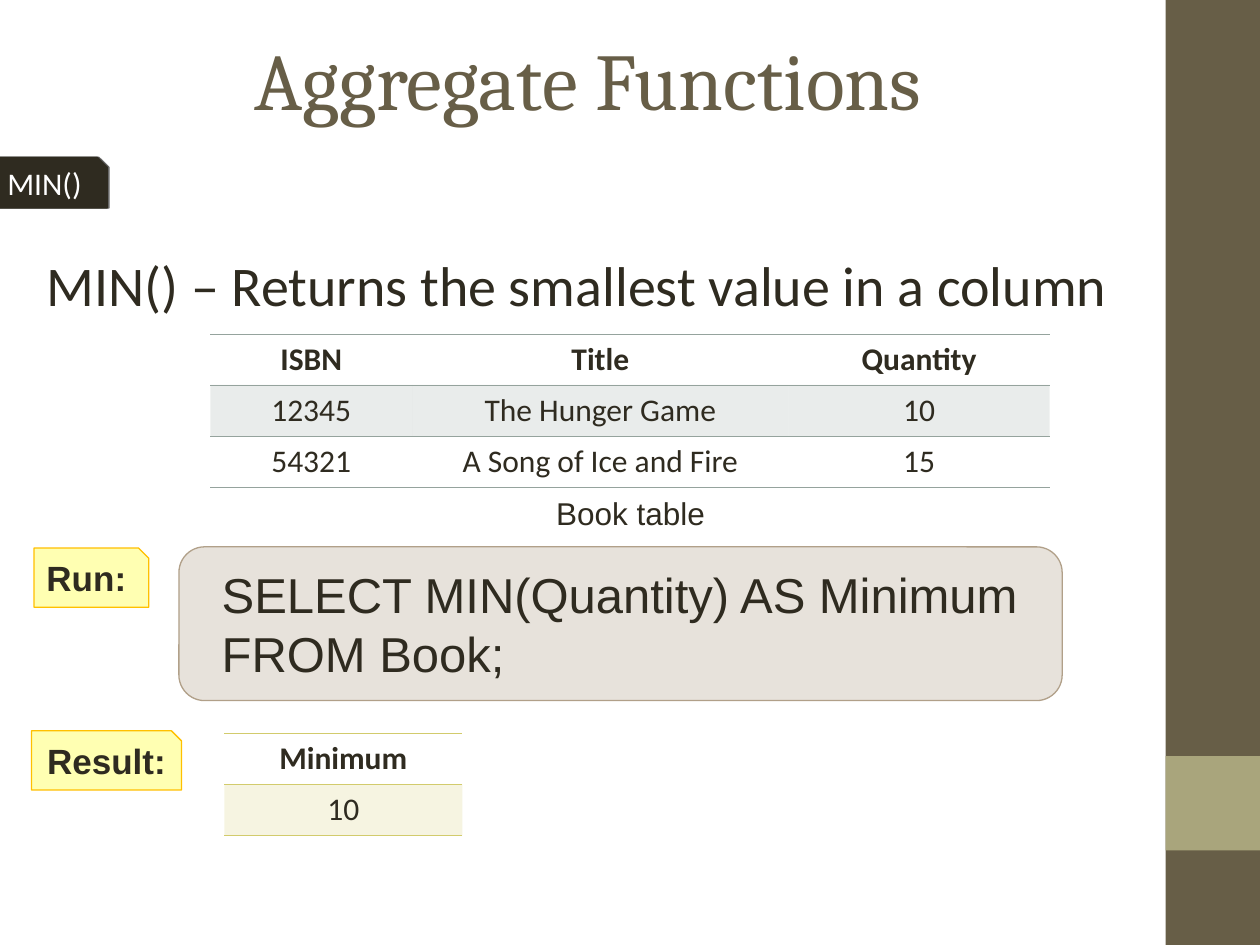
from dataclasses import dataclass

from lxml import etree
from pptx import Presentation
from pptx import util as u
from pptx.dml.color import RGBColor
from pptx.enum import shapes, text
from pptx.oxml import ns


@dataclass(frozen=True)
class Theme:
    # Colours
    ink: str = "2F2B20"
    white: str = "FFFFFF"
    brown: str = "675E47"
    olive: str = "A9A57C"
    sand: str = "B1A089"
    yellow: str = "FFFF00"
    gold: str = "FFC000"
    book: str = "95A39D"
    result: str = "D2CB6C"
    # Fonts and type sizes
    heading: str = "Cambria"
    body: str = "Calibri"
    plain: str = "Arial"
    title_size: int = 46
    lead_size: int = 32
    code_size: int = 28
    label_size: int = 20
    small_size: int = 18


THEME = Theme()
LEFT, CENTER = text.PP_ALIGN.LEFT, text.PP_ALIGN.CENTER
PLAIN_TABLE = "{2D5ABB26-0587-4C30-8999-92F81FD0307C}"  # no style, no grid


def add_xml(parent, tag, **attributes):
    return etree.SubElement(parent, ns.qn(tag), attributes)


def set_fill(fill, color, opacity=100):
    fill.solid()
    fill.fore_color.rgb = RGBColor.from_string(color)
    if opacity < 100:
        color_node = fill._xPr.find(ns.qn("a:solidFill")).find(ns.qn("a:srgbClr"))
        add_xml(color_node, "a:alpha", val=str(opacity * 1000))


def style_shape(shape, fill, opacity=100, line=None, weight=0.75):
    shape.shadow.inherit = False
    set_fill(shape.fill, fill, opacity)
    if line:
        shape.line.color.rgb = RGBColor.from_string(line)
        shape.line.width = u.Pt(weight)
    else:
        shape.line.fill.background()


def write(frame, words, font, size, color=THEME.ink, bold=False, align=LEFT):
    paragraph = frame.paragraphs[0]
    paragraph.text = words
    paragraph.alignment = align
    paragraph.font.name = font
    paragraph.font.size = u.Pt(size)
    paragraph.font.bold = bold
    paragraph.font.color.rgb = RGBColor.from_string(color)


def add_block(slide, kind, left, top, width, height, **style):
    shape = slide.shapes.add_shape(
        kind, u.Inches(left), u.Inches(top), u.Inches(width), u.Inches(height))
    style_shape(shape, **style)
    return shape


def add_text(slide, left, top, width, height, words, font, size,
             anchor=text.MSO_ANCHOR.TOP, **style):
    box = slide.shapes.add_textbox(
        u.Inches(left), u.Inches(top), u.Inches(width), u.Inches(height))
    box.text_frame.word_wrap = True
    box.text_frame.vertical_anchor = anchor
    write(box.text_frame, words, font, size, **style)


def add_tag(slide, left, top, width, height, **style):
    """Rectangle with its top right corner cut off."""
    cut = 0.08
    right, bottom = left + width, top + height
    builder = slide.shapes.build_freeform(
        u.Inches(left), u.Inches(top), scale=1.0)
    corners = [(right - cut, top), (right, top + cut), (right, bottom), (left, bottom)]
    builder.add_line_segments([(u.Inches(x), u.Inches(y)) for x, y in corners])
    shape = builder.convert_to_shape()
    style_shape(shape, **style)
    shape.text_frame.word_wrap = True
    shape.text_frame.vertical_anchor = text.MSO_ANCHOR.MIDDLE
    return shape


def add_edge_shadow(shape):
    effects = shape._element.spPr.find(ns.qn("a:effectLst"))
    shadow = add_xml(effects, "a:outerShdw", blurRad="0", dist=str(u.Pt(1)), dir="0")
    color = add_xml(shadow, "a:srgbClr", val="000000")
    add_xml(color, "a:alpha", val="60000")


def add_border(cell, side, color):
    line = add_xml(cell._tc.get_or_add_tcPr(), side, w=str(u.Pt(0.45)))
    add_xml(add_xml(line, "a:solidFill"), "a:srgbClr", val=color)


def add_ruled_table(slide, left, top, widths, rows, color):
    """Bold header row, rules around it and below the table, shaded odd rows."""
    row_height = 0.405
    table = slide.shapes.add_table(
        len(rows), len(widths), u.Inches(left), u.Inches(top),
        u.Inches(sum(widths)), u.Inches(row_height * len(rows))).table
    table.first_row = table.horz_banding = False
    table._tbl.tblPr.find(ns.qn("a:tableStyleId")).text = PLAIN_TABLE
    for column, width in zip(table.columns, widths):
        column.width = u.Inches(width)
    for index, values in enumerate(rows):
        table.rows[index].height = u.Inches(row_height)
        for number, value in enumerate(values):
            cell = table.cell(index, number)
            write(cell.text_frame, value, THEME.body, THEME.small_size,
                  bold=index == 0, align=CENTER)
            if index <= 1:
                add_border(cell, "a:lnT", color)
            if index in (0, len(rows) - 1):
                add_border(cell, "a:lnB", color)
            if index % 2:
                set_fill(cell.fill, color, 20)
            else:
                cell.fill.background()


def main():
    presentation = Presentation()
    presentation.slide_width = u.Inches(10)
    presentation.slide_height = u.Inches(7.5)
    slide = presentation.slides.add_slide(presentation.slide_layouts[6])

    # Side band
    rectangle = shapes.MSO_SHAPE.RECTANGLE
    add_block(slide, rectangle, 9.25, 0, 0.75, 7.5, fill=THEME.brown)
    add_block(slide, rectangle, 9.25, 6, 0.75, 0.75, fill=THEME.olive)

    # Title, topic tag and definition
    add_text(slide, 0.5, 0, 8.33, 1.25, "Aggregate Functions", THEME.heading,
             THEME.title_size, text.MSO_ANCHOR.MIDDLE, color=THEME.brown, align=CENTER)
    topic = add_tag(slide, -0.04, 1.25, 0.89, 0.4,
                    fill=THEME.ink, line=THEME.ink, weight=1)
    add_edge_shadow(topic)
    write(topic.text_frame, "MIN()", THEME.body, THEME.small_size, THEME.white)
    add_text(slide, 0.27, 1.94, 9.47, 1.18,
             "MIN() – Returns the smallest value in a column",
             THEME.body, THEME.lead_size)

    # Query
    query = add_block(slide, shapes.MSO_SHAPE.ROUNDED_RECTANGLE, 1.42, 4.34, 7.01, 1.22,
                      fill=THEME.sand, opacity=30, line=THEME.sand)
    query.text_frame.word_wrap = True
    query.text_frame.margin_left = u.Inches(0.28)
    query.text_frame.vertical_anchor = text.MSO_ANCHOR.MIDDLE
    write(query.text_frame, "SELECT MIN(Quantity) AS Minimum FROM Book;",
          THEME.plain, THEME.code_size)

    # Step labels
    for words, left, top, width, align in (("Result:", 0.25, 5.8, 1.19, CENTER),
                                           ("Run:", 0.27, 4.35, 0.91, LEFT)):
        label = add_tag(slide, left, top, width, 0.47,
                        fill=THEME.yellow, opacity=30, line=THEME.gold)
        write(label.text_frame, words, THEME.plain, THEME.label_size,
              bold=True, align=align)

    # Data and result tables
    add_text(slide, 3.9, 3.87, 2.21, 0.4, "Book table", THEME.plain,
             THEME.small_size, align=CENTER)
    books = [("ISBN", "Title", "Quantity"),
             ("12345", "The Hunger Game", "10"),
             ("54321", "A Song of Ice and Fire", "15")]
    add_ruled_table(slide, 1.67, 2.65, (1.6, 2.99, 2.07), books, THEME.book)
    add_ruled_table(slide, 1.78, 5.82, (1.89,), [("Minimum",), ("10",)], THEME.result)

    presentation.save("out.pptx")


if __name__ == "__main__":
    main()
